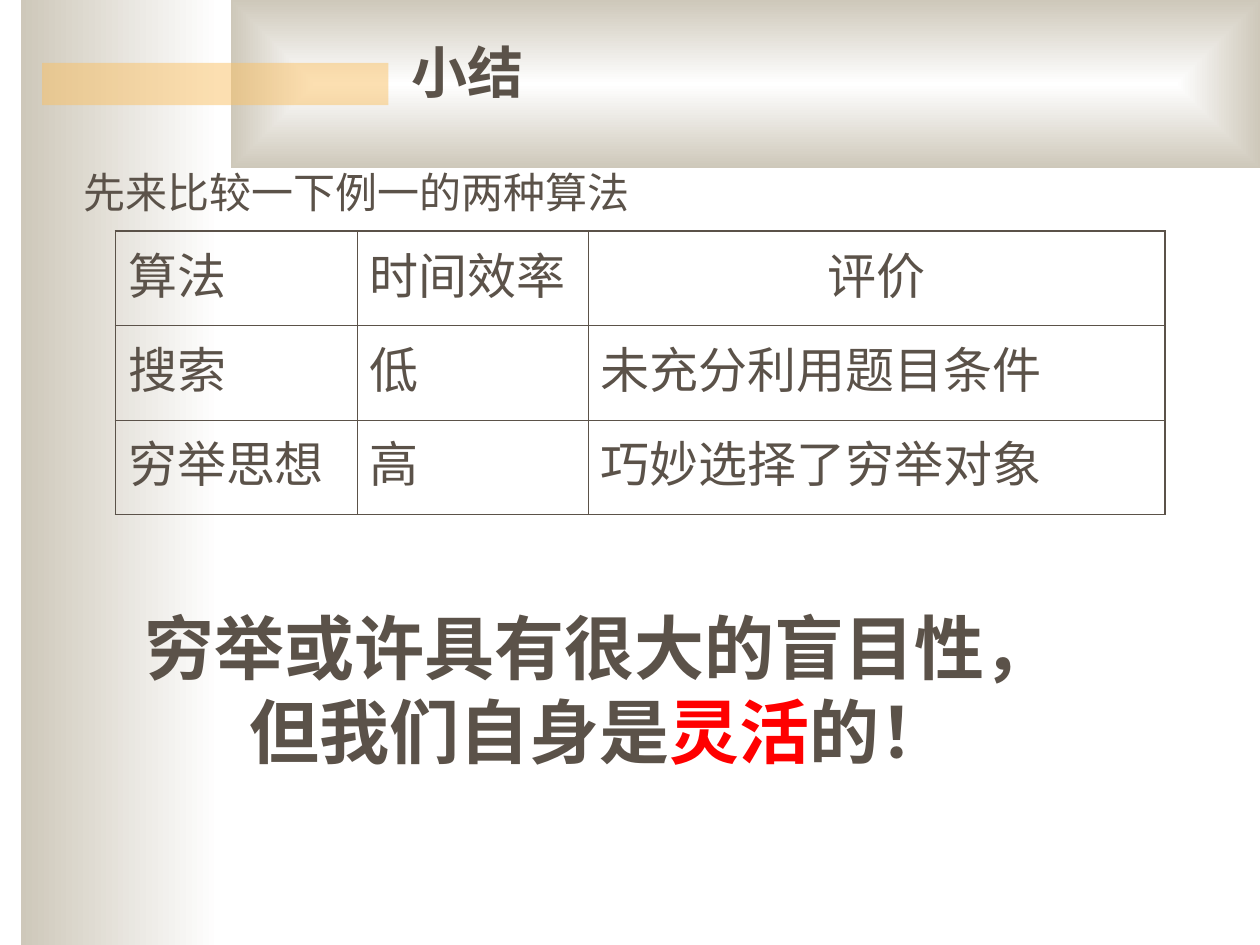
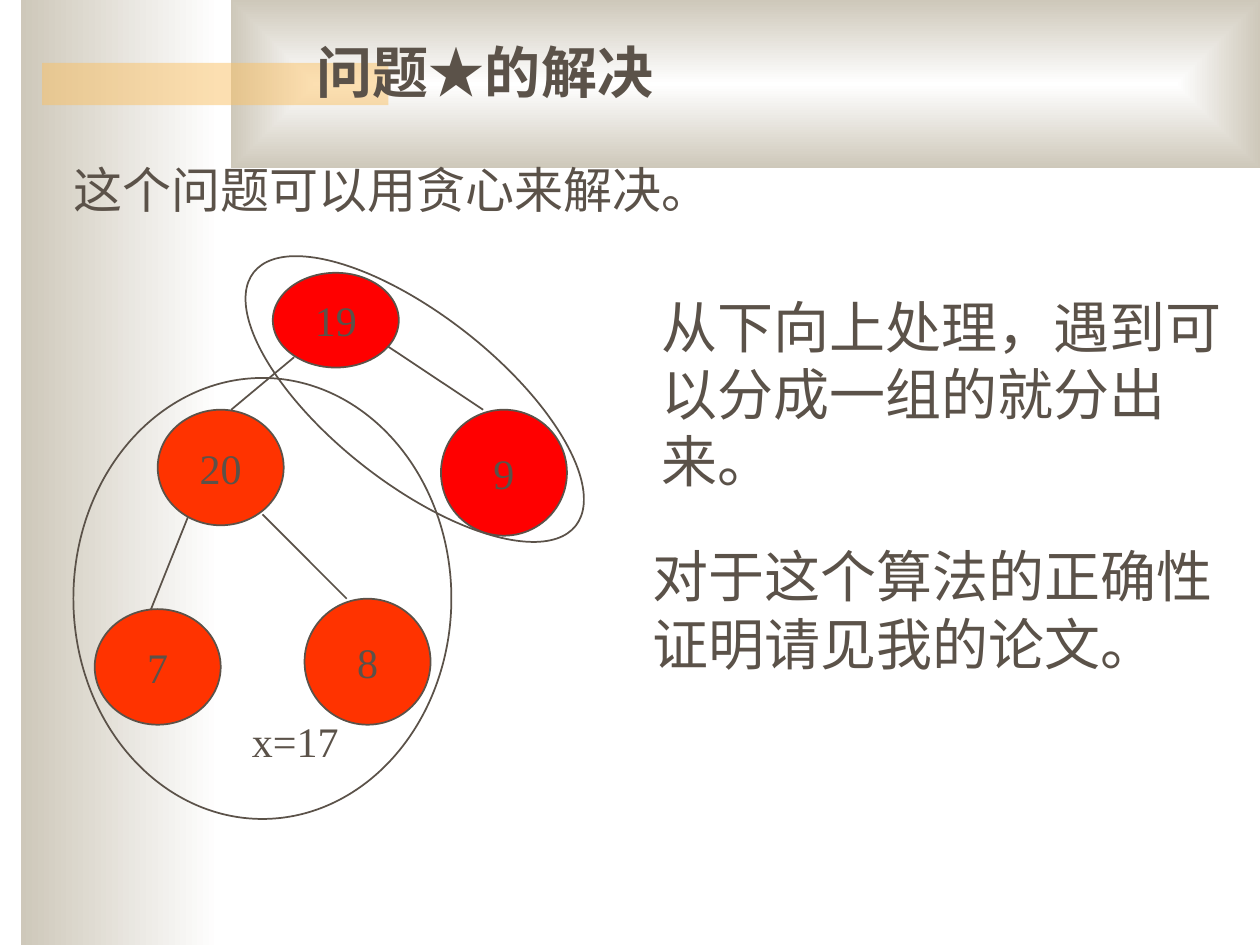
from lxml.etree import SubElement
from pptx import Presentation
from pptx.dml.color import RGBColor
from pptx.enum.shapes import MSO_CONNECTOR as LINE, MSO_SHAPE as SHAPE
from pptx.enum.text import MSO_ANCHOR as ANCHOR, MSO_AUTO_SIZE as AUTO, PP_ALIGN as ALIGN
from pptx.oxml.ns import qn
from pptx.util import Cm, Pt

COLORS = {
    "ink": "5B5249",
    "paper": "FFFFFF",
    "stone": "CEC8BA",
    "gold": "FAC164",
    "red": "FF0000",
    "orange": "FF3300",
}
RGB = {name: RGBColor.from_string(value) for name, value in COLORS.items()}
FONT = "Times New Roman"


def write(frame, text, size=24, bold=False, align=ALIGN.LEFT, highlight=None):
    """Fill a text frame with one paragraph; the highlighted part is red."""
    para = frame.paragraphs[0]
    para.alignment = align
    # Keep punctuation inside the box instead of hanging past its edge
    para._p.get_or_add_pPr().set("hangingPunct", "0")
    before, match, after = text.partition(highlight) if highlight else (text, "", "")
    for words, color in ((before, "ink"), (match, "red"), (after, "ink")):
        if words:
            span = para.add_run()
            span.text = words
            span.font.name = FONT
            span.font.size = Pt(size)
            span.font.bold = bold
            span.font.color.rgb = RGB[color]


def draw(page, kind, place, fill=None, outline=True):
    """Add a preset shape at left, top, width, height in centimetres."""
    shape = page.shapes.add_shape(kind, *map(Cm, place))
    shape.shadow.inherit = False
    if fill:
        shape.fill.solid()
        shape.fill.fore_color.rgb = RGB[fill]
    else:
        shape.fill.background()
    if outline:
        shape.line.color.rgb = RGB["ink"]
        shape.line.width = Pt(1)
    else:
        shape.line.fill.background()
    return shape


deck = Presentation()
deck.slide_width, deck.slide_height = Cm(25.4), Cm(19.05)

# Texts of each page: words, place, wrap, format
title = {"size": 32, "bold": True}
page_texts = [
    [
        ("小结", (8.05, 0.64, 11.43, 1.62), True, title),
        ("先来比较一下例一的两种算法", (1.44, 3.23, 11.8, 1.27), False, {}),
        ("穷举或许具有很大的盲目性，但我们自身是灵活的！", (2.33, 12.07, 19.51, 3.66), True,
         {"size": 40, "bold": True, "align": ALIGN.CENTER, "highlight": "灵活"}),
    ],
    [
        ("问题★的解决", (6.14, 0.64, 15.24, 1.62), True, title),
        ("这个问题可以用贪心来解决。", (1.24, 3.1, 13.5, 1.45), False, {"size": 28}),
        ("x=17", (4.83, 14.3, 2.25, 1.27), False, {}),
        ("从下向上处理，遇到可以分成一组的就分出来。", (13.08, 5.77, 12.32, 2.97), True,
         {"size": 32}),
        ("对于这个算法的正确性证明请见我的论文。", (12.9, 10.8, 11.89, 2.97), True,
         {"size": 32}),
    ],
]

pages = []
for texts in page_texts:
    page = deck.slides.add_slide(deck.slide_layouts[6])
    pages.append(page)

    # Shared background: side band, header band, gold bar
    side = draw(page, SHAPE.RECTANGLE, (0.42, 0, 4.02, 19.05), outline=False)
    header = draw(page, SHAPE.RECTANGLE, (4.66, 0, 20.74, 3.39), outline=False)
    for band in (side, header):
        band.fill.gradient()
        for stop, color in zip(band.fill.gradient_stops, ("paper", "stone")):
            stop.color.rgb = RGB[color]
    side.fill.gradient_angle = 180
    gradient = header.element.spPr.find(qn("a:gradFill"))
    gradient.remove(gradient.find(qn("a:lin")))
    center = SubElement(gradient, qn("a:path"), {"path": "rect"})
    SubElement(center, qn("a:fillToRect"), dict.fromkeys("ltrb", "50000"))

    bar = draw(page, SHAPE.RECTANGLE, (0.85, 1.27, 6.98, 0.85), "gold", outline=False)
    bar_color = bar.element.spPr.find(".//" + qn("a:srgbClr"))
    SubElement(bar_color, qn("a:alpha"), {"val": "50000"})

    # Text boxes
    for words, place, wrap, style in texts:
        box = page.shapes.add_textbox(*map(Cm, place))
        box.text_frame.word_wrap = wrap
        box.text_frame.auto_size = AUTO.SHAPE_TO_FIT_TEXT
        write(box.text_frame, words, **style)

summary, solution = pages

# Summary: comparison table
rows = [
    ("算法", "时间效率", "评价"),
    ("搜索", "低", "未充分利用题目条件"),
    ("穷举思想", "高", "巧妙选择了穷举对象"),
]
widths = (4.87, 4.66, 11.63)
table = summary.shapes.add_table(
    len(rows), len(widths), Cm(2.33), Cm(4.66), Cm(sum(widths)), Cm(5.71)).table
table.first_row = table.horz_banding = False
for column, width in zip(table.columns, widths):
    column.width = Cm(width)
for r, row in enumerate(rows):
    for c, words in enumerate(row):
        cell = table.cell(r, c)
        cell.fill.background()
        write(cell.text_frame, words, size=28,
              align=ALIGN.CENTER if (r, c) == (0, 2) else ALIGN.LEFT)
        # Outer edges are heavier than inner ones
        properties = cell._tc.get_or_add_tcPr()
        outer = {"lnL": c == 0, "lnR": c == len(widths) - 1,
                 "lnT": r == 0, "lnB": r == len(rows) - 1}
        for position, (side_name, is_outer) in enumerate(outer.items()):
            border = SubElement(properties, qn("a:" + side_name),
                                {"w": str(Pt(1.08 if is_outer else 0.45))})
            fill = SubElement(border, qn("a:solidFill"))
            SubElement(fill, qn("a:srgbClr"), {"val": COLORS["ink"]})
            properties.insert(position, border)

# Solution: tree branches
branches = [
    (5.93, 7.2, 4.66, 8.26),
    (3.81, 10.37, 2.96, 12.49),
    (5.29, 10.37, 6.99, 12.07),
    (7.83, 6.99, 9.74, 8.26),
]
for ends in branches:
    branch = solution.shapes.add_connector(LINE.STRAIGHT, *map(Cm, ends))
    branch.line.color.rgb = RGB["ink"]
    branch.line.width = Pt(1)
    SubElement(branch.element.spPr, qn("a:effectLst"))

# Solution: tree nodes and the rings around each group
nodes = [
    ("7", "orange", (1.91, 12.28, 2.54, 2.33)),
    ("8", "orange", (6.14, 12.07, 2.54, 2.54)),
    ("20", "orange", (3.18, 8.26, 2.54, 2.33)),
    ("9", "red", (8.89, 8.26, 2.54, 2.54)),
    ("19", "red", (5.5, 5.5, 2.54, 1.91)),
]
for number, color, place in nodes:
    node = draw(solution, SHAPE.OVAL, place, color)
    node.text_frame.word_wrap = False
    node.text_frame.vertical_anchor = ANCHOR.MIDDLE
    write(node.text_frame, number, align=ALIGN.CENTER)

for place, angle in (((1.48, 7.62, 7.62, 8.89), 0), ((4.23, 6.35, 8.26, 3.39), 38.2)):
    ring = draw(solution, SHAPE.OVAL, place)
    ring.rotation = angle

deck.save("out.pptx")
